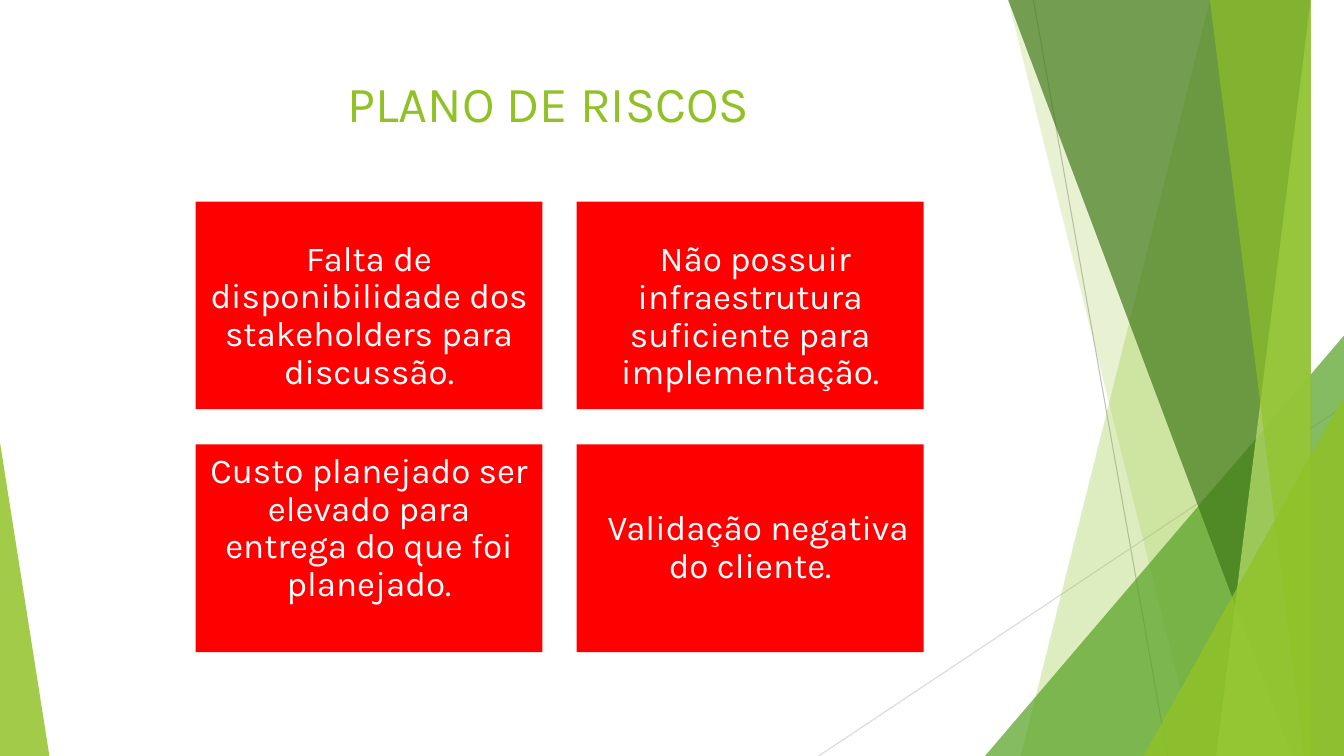
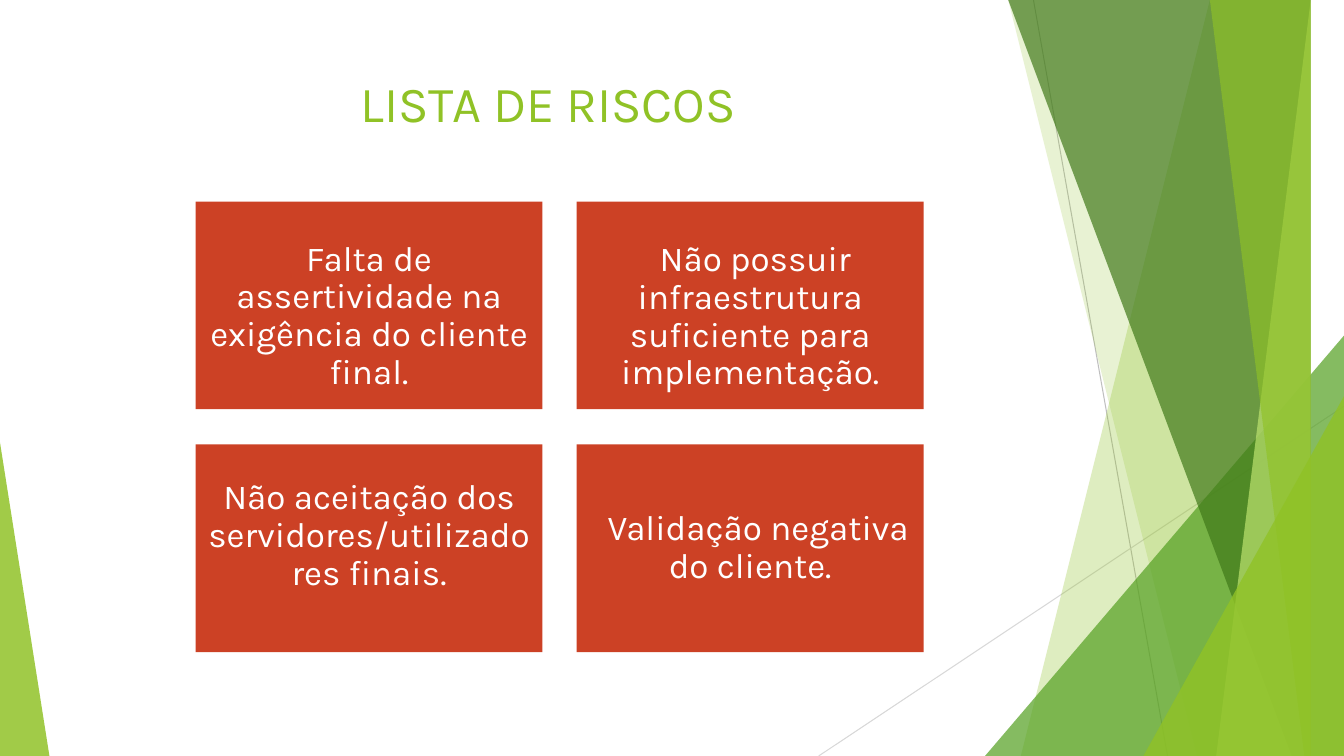
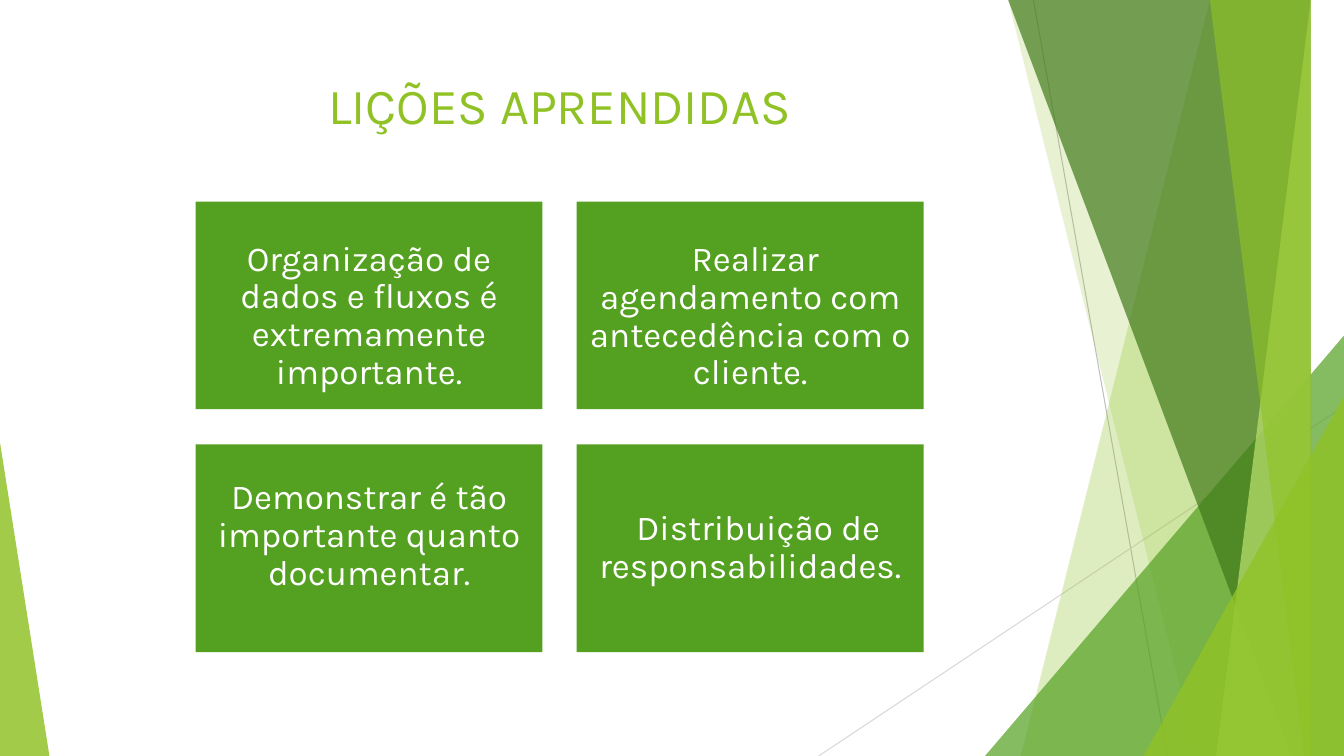
import lxml.etree
import pptx
import pptx.dml.color
import pptx.enum.shapes
import pptx.enum.text
import pptx.oxml.ns
import pptx.util

inch = pptx.util.Inches
point = pptx.util.Pt
qn = pptx.oxml.ns.qn
rgb = pptx.dml.color.RGBColor.from_string
shapes_enum = pptx.enum.shapes.MSO_SHAPE
anchors = pptx.enum.text.MSO_ANCHOR

WIDTH, HEIGHT = 13.33, 7.5
COLORS = {
    "lime": "90C226", "green": "54A021", "forest": "3F7818", "pale": "BFE471",
    "gray": "BFBFBF", "mist": "D8D8D8", "red": "FF0000", "brick": "CC4125",
    "white": "FFFFFF",
}


def paint(shape, color, opacity=100):
    """Flat fill without outline or shadow, opacity in percent."""
    shape.shadow.inherit = False
    shape.fill.solid()
    shape.fill.fore_color.rgb = rgb(COLORS[color])
    shape.line.fill.background()
    if opacity < 100:
        tint = shape.element.spPr.find(".//" + qn("a:srgbClr"))
        lxml.etree.SubElement(tint, qn("a:alpha"), val=str(opacity * 1000))


def write(box, words, color, size, frame_format, para_format):
    """One centred paragraph in the deck's font."""
    frame = box.text_frame
    for name, value in frame_format.items():
        setattr(frame, name, value)
    para = frame.paragraphs[0]
    for name, value in para_format.items():
        setattr(para, name, value)
    para.alignment = pptx.enum.text.PP_ALIGN.CENTER
    span = para.add_run()
    span.text = words
    for name, value in {"name": "Karla", "size": point(size)}.items():
        setattr(span.font, name, value)
    span.font.color.rgb = rgb(COLORS[color])
    return para


deck = pptx.Presentation()
deck.slide_width, deck.slide_height = inch(WIDTH), inch(HEIGHT)
blank = deck.slide_layouts[6]

# Decoration: drawn on the first page, then moved to the shared layout
page = deck.slides.add_slide(blank)
decoration = []

for start, end, color in [
    ((10.25, 0), (11.58, HEIGHT), "gray"),
    ((WIDTH, 4.03), (8.12, HEIGHT), "mist"),
]:
    ray = page.shapes.add_connector(
        pptx.enum.shapes.MSO_CONNECTOR.STRAIGHT, *map(inch, start + end))
    ray.line.color.rgb = rgb(COLORS[color])
    ray.line.width = point(0.75)
    lxml.etree.SubElement(ray.element.spPr, qn("a:effectLst"))
    decoration.append(ray)

# Bands reach the right edge (top x, bottom x);
# wedges stand on the bottom edge (left, top, width, apex)
for kind, place, color, opacity in [
    ("band", (12.28, 10.04), "lime", 29),
    ("band", (10.5, 11.83), "lime", 20),
    ("wedge", (9.77, 3.33, 3.56, 1), "green", 71),
    ("band", (10.21, 12.91), "forest", 69),
    ("band", (13.03, 11.92), "pale", 69),
    ("band", (11.96, 13.18), "lime", 64),
    ("wedge", (11.34, 3.93, 1.99, 1), "lime", 80),
    ("wedge", (0, 4.39, 0.49, 0), "lime", 84),
]:
    if kind == "band":
        top_x, bottom_x = place
        outline = page.shapes.build_freeform(top_x, 0, scale=inch(1))
        outline.add_line_segments(
            [(WIDTH, 0), (WIDTH, HEIGHT), (bottom_x, HEIGHT)], close=True)
        facet = outline.convert_to_shape()
    else:
        left, top, width, apex = place
        facet = page.shapes.add_shape(
            shapes_enum.ISOSCELES_TRIANGLE,
            *map(inch, (left, top, width, HEIGHT - top)))
        facet.adjustments[0] = apex
    paint(facet, color, opacity)
    decoration.append(facet)

for item in decoration:
    blank.shapes.element.append(item.element)

# Pages: title, title position, card colour, four card texts
PAGES = [
    ("PLANO DE RISCOS", (0.74, 0.67), "red", [
        "Falta de disponibilidade dos stakeholders para discussão.",
        "Não possuir infraestrutura suficiente para implementação.",
        "Custo planejado ser elevado para entrega do que foi planejado.",
        "Validação negativa do cliente."]),
    ("LISTA DE RISCOS", (0.74, 0.67), "brick", [
        "Falta de assertividade na exigência do cliente final.",
        "Não possuir infraestrutura suficiente para implementação.",
        "Não aceitação dos servidores/utilizadores finais.",
        "Validação negativa do cliente."]),
    ("LIÇÕES APRENDIDAS", (0.85, 0.69), "green", [
        "Organização de dados e fluxos é extremamente importante.",
        "Realizar agendamento com antecedência com o cliente.",
        "Demonstrar é tão importante quanto documentar.",
        "Distribuição de responsabilidades."]),
]

# Card grid; padding above and below and first-line indent go by cell
LEFT, TOP, CARD_WIDTH, CARD_HEIGHT = 1.94, 2, 3.44, 2.06
COLUMN, ROW = 3.78, 2.41
PADDING = [(0.22, 0), (0.23, 0), (0, 0.24), (0, 0)]
INDENT = [0, 0.1, 0, 0.16]
TALL_PADDING = (0, 0.39)

for number, (title, corner, color, texts) in enumerate(PAGES):
    if number:
        page = deck.slides.add_slide(blank)
    box = page.shapes.add_textbox(*map(inch, corner + (9.4, 1.44)))
    write(box, title, "lime", 36,
          {"word_wrap": True, "vertical_anchor": anchors.TOP}, {})

    for cell, words in enumerate(texts):
        row, column = divmod(cell, 2)
        card = page.shapes.add_shape(
            shapes_enum.RECTANGLE,
            inch(LEFT + column * COLUMN), inch(TOP + row * ROW),
            inch(CARD_WIDTH), inch(CARD_HEIGHT))
        paint(card, color)
        # The four-line text of the lower left card sits higher
        tall = cell == 2 and len(words) > 50
        above, below = TALL_PADDING if tall else PADDING[cell]
        para = write(card, words, "white", 25, {
            "word_wrap": True, "vertical_anchor": anchors.MIDDLE,
            "margin_left": inch(0.1), "margin_right": inch(0.1),
            "margin_top": inch(above), "margin_bottom": inch(below),
        }, {"line_spacing": 0.9, "space_before": point(10)})
        if INDENT[cell]:
            para._p.get_or_add_pPr().set("indent", str(inch(INDENT[cell])))

deck.save("out.pptx")
